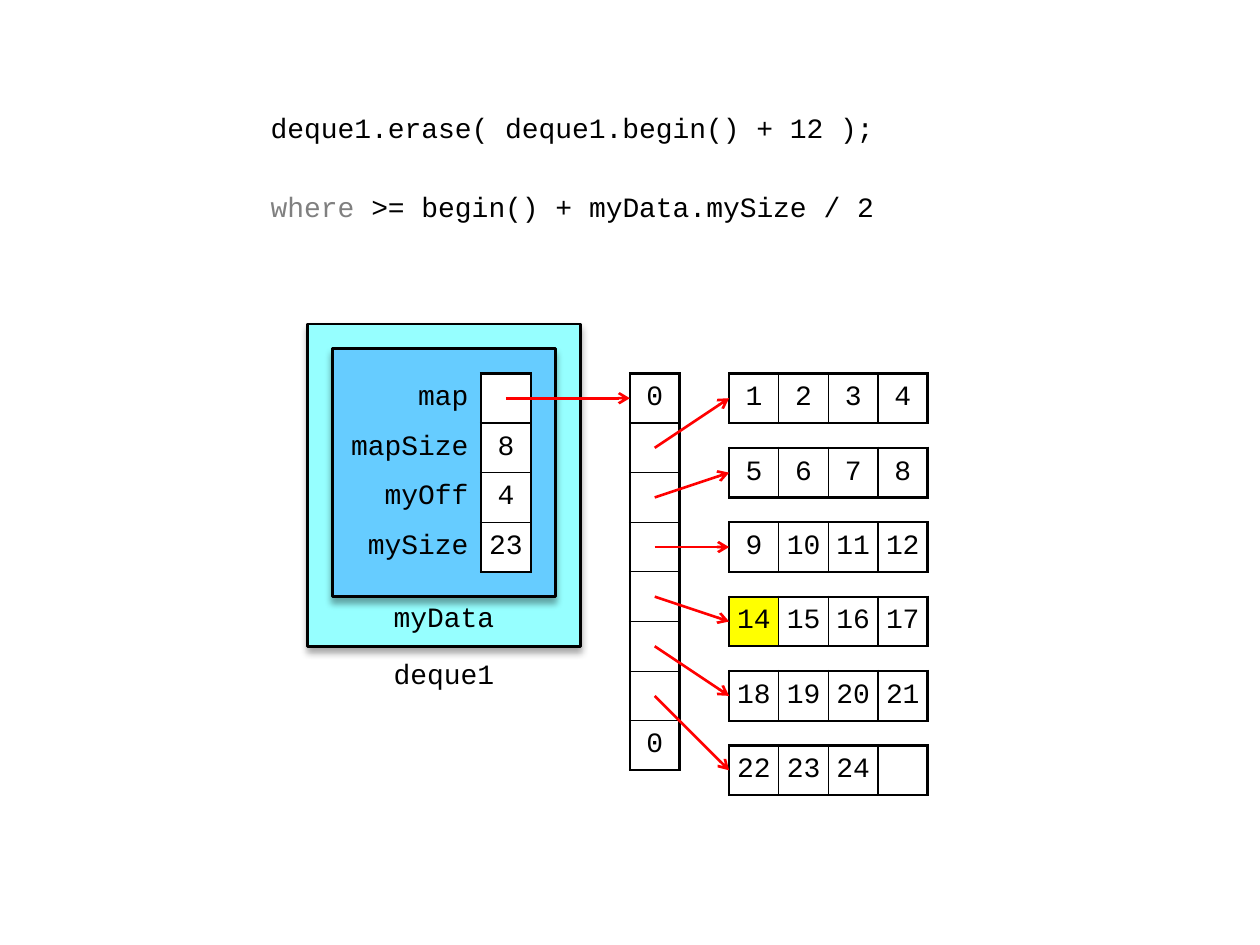
"""Build a slide showing a deque's block map after erasing one element."""
import dataclasses

import pptx
import pptx.dml.color
import pptx.enum.shapes
import pptx.enum.text
import pptx.oxml
import pptx.oxml.ns
import pptx.util

Inches = pptx.util.Inches
Pt = pptx.util.Pt
RGB = pptx.dml.color.RGBColor.from_string
ALIGN = pptx.enum.text.PP_ALIGN
SHAPE = pptx.enum.shapes.MSO_SHAPE
MIDDLE = pptx.enum.text.MSO_ANCHOR.MIDDLE
NS = pptx.oxml.ns.nsdecls("a")


@dataclasses.dataclass(frozen=True)
class Theme:
    font: str = "Courier New"
    size: int = 16
    ink: str = "000000"
    muted: str = "808080"
    paper: str = "FFFFFF"
    outer: str = "96FFFF"
    inner: str = "66CCFF"
    mark: str = "FFFF00"
    arrow: str = "FF0000"
    thick: float = 1.5
    thin: float = 0.75


theme = Theme()
cell_size = Inches(3.15) // 8
left, top = Inches(2.44), Inches(2.57)


def write(p, text, align):
    if text:
        p.add_run().text = text
    p.alignment = align
    p.font.name = theme.font
    p.font.size = Pt(theme.size)
    p.font.color.rgb = RGB(theme.ink)


def add_grid(x, y, rows, label_width=0):
    n_rows, n_cols = len(rows), len(rows[0])
    first = 1 if label_width else 0
    width = cell_size * (n_cols - first + label_width)
    table = slide.shapes.add_table(n_rows, n_cols, int(left + cell_size * x), int(top + cell_size * y),
                                   width, cell_size * n_rows).table
    table.first_row = table.horz_banding = False
    style = table._tbl.tblPr.find(pptx.oxml.ns.qn("a:tableStyleId"))
    style.text = "{2D5ABB26-0587-4C30-8999-92F81FD0307C}"
    for c, column in enumerate(table.columns):
        column.width = cell_size * (label_width if c < first else 1)
    for r, row in enumerate(rows):
        table.rows[r].height = cell_size
        for c, text in enumerate(row):
            cell = table.cell(r, c)
            is_label = c < first
            cell.vertical_anchor = MIDDLE
            cell.margin_top = cell.margin_bottom = Inches(0.04)
            cell.margin_left = cell.margin_right = Inches(0.1 if is_label else 0.04)
            write(cell.text_frame.paragraphs[0], text, ALIGN.RIGHT if is_label else ALIGN.CENTER)
            if is_label:
                cell.fill.background()
                continue
            edges = {"L": c == first, "R": c == n_cols - 1, "T": r == 0, "B": r == n_rows - 1}
            for side, is_outside in edges.items():
                weight = Pt(theme.thick if is_outside else theme.thin)
                cell._tc.get_or_add_tcPr().append(pptx.oxml.parse_xml(
                    f'<a:ln{side} {NS} w="{weight}"><a:solidFill><a:srgbClr val="{theme.ink}"/>'
                    f'</a:solidFill></a:ln{side}>'))
            cell.fill.solid()
            cell.fill.fore_color.rgb = RGB(theme.paper)
    return table


prs = pptx.Presentation()
prs.slide_width, prs.slide_height = Inches(10), Inches(7.5)
slide = prs.slides.add_slide(prs.slide_layouts[6])

tf = slide.shapes.add_textbox(Inches(2.05), Inches(0.8), Inches(5.91), Inches(0.98)).text_frame
tf.word_wrap = True
tf.margin_top = Inches(0.08)
write(tf.paragraphs[0], "deque1.erase( deque1.begin() + 12 );", ALIGN.LEFT)
p = tf.add_paragraph()
write(p, "where ", ALIGN.LEFT)
p.space_before = Pt(26)
p.runs[0].font.color.rgb = RGB(theme.muted)
r = p.add_run()
r.text = ">= begin() + myData.mySize / 2"

for x, y, w, h, color in [(0, 0, 5.5, 6.5, theme.outer), (0.5, 0.5, 4.5, 5, theme.inner)]:
    sp = slide.shapes.add_shape(SHAPE.FLOWCHART_PROCESS, int(left + cell_size * x), int(top + cell_size * y),
                                int(cell_size * w), int(cell_size * h))
    sp.fill.solid()
    sp.fill.fore_color.rgb = RGB(color)
    sp.line.color.rgb = RGB(theme.ink)
    sp.line.width = Pt(theme.thick)
    sp.shadow.inherit = False
    sp._element.spPr.find(pptx.oxml.ns.qn("a:effectLst")).append(pptx.oxml.parse_xml(
        f'<a:outerShdw {NS} blurRad="{Pt(4)}" dist="{Pt(3)}" dir="5400000" rotWithShape="0">'
        f'<a:srgbClr val="{theme.ink}"><a:alpha val="35000"/></a:srgbClr></a:outerShdw>'))

for text, x, y, w, inset in [("deque1", 1, 6.5, 3.5, 0.04), ("myData", 1.5, 5.5, 2.5, 0.02)]:
    tf = slide.shapes.add_textbox(int(left + cell_size * x), int(top + cell_size * y),
                                  int(cell_size * w), cell_size).text_frame
    tf.word_wrap = True
    tf.margin_left = tf.margin_right = Inches(0.08)
    tf.margin_top, tf.margin_bottom = Inches(inset), 0
    if text == "deque1":
        tf.vertical_anchor = MIDDLE
    write(tf.paragraphs[0], text, ALIGN.CENTER)

add_grid(0.5, 1, [("map", ""), ("mapSize", "8"), ("myOff", "4"), ("mySize", "23")], label_width=3)
add_grid(6.5, 1, [(text,) for text in ["0", "", "", "", "", "", "", "0"]])

values = [*range(1, 13), *range(14, 25), ""]
arrows = [(4, 1.5, 6.5, 1.5)]
for i in range(6):
    block = add_grid(8.5, 1 + 1.5 * i, [[str(v) for v in values[4 * i:4 * i + 4]]])
    if values[4 * i] == 14:
        block.cell(0, 0).fill.fore_color.rgb = RGB(theme.mark)
    arrows.append((7, 2.5 + i, 8.5, 1.5 + 1.5 * i))

for x1, y1, x2, y2 in arrows:
    line = slide.shapes.add_connector(pptx.enum.shapes.MSO_CONNECTOR.STRAIGHT,
                                      int(left + cell_size * x1), int(top + cell_size * y1),
                                      int(left + cell_size * x2), int(top + cell_size * y2))
    line.line.color.rgb = RGB(theme.arrow)
    line.line.width = Pt(theme.thick)
    line.line._get_or_add_ln().append(pptx.oxml.parse_xml(f'<a:tailEnd {NS} type="arrow"/>'))
    line._element.spPr.append(pptx.oxml.parse_xml(f"<a:effectLst {NS}/>"))

prs.save("out.pptx")
